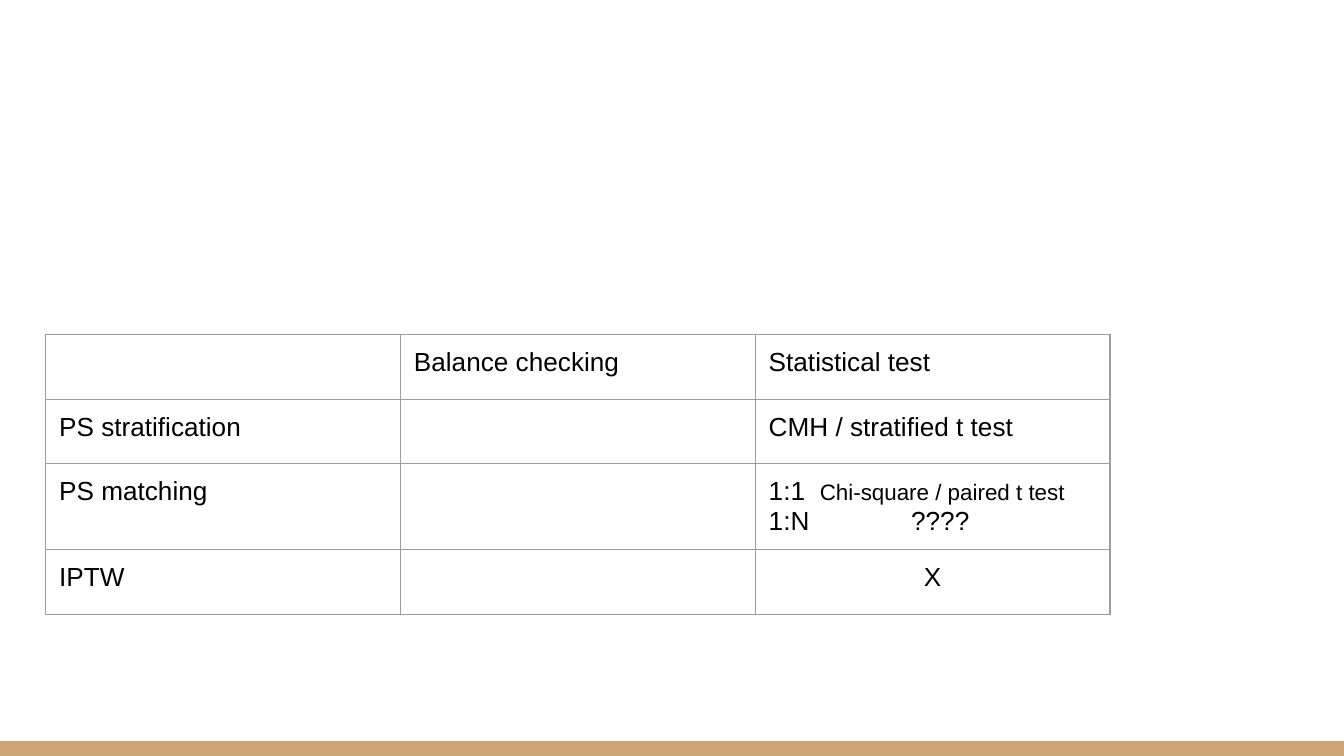
from lxml.etree import SubElement
from pptx import Presentation
from pptx.dml.color import RGBColor
from pptx.enum.shapes import MSO_SHAPE
from pptx.enum.text import PP_ALIGN
from pptx.oxml.ns import qn
from pptx.util import Inches, Pt

COLORS = {"background": "FFFFFF", "footer": "CCA677", "border": "9E9E9E", "text": "000000"}
FONT = "Arial"
ROWS = [
    ["", "Balance checking", "Statistical test"],
    ["PS stratification", "", "CMH / stratified t test"],
    ["PS matching", "", "1:1\t\n1:N\t????"],
    ["IPTW", "", "X"],
]
ROW_HEIGHTS = [0.48, 0.48, 0.64, 0.48]
COLUMN_WIDTH = 2.64


def add_borders(cell):
    properties = cell._tc.get_or_add_tcPr()
    for side in ("a:lnL", "a:lnR", "a:lnT", "a:lnB"):
        line = SubElement(properties, qn(side), w=str(Pt(0.75)))
        fill = SubElement(line, qn("a:solidFill"))
        SubElement(fill, qn("a:srgbClr"), val=COLORS["border"])


def add_tab_stop(paragraph, position):
    tab_list = SubElement(paragraph._p.get_or_add_pPr(), qn("a:tabLst"))
    SubElement(tab_list, qn("a:tab"), pos=str(Inches(position)), algn="l")


presentation = Presentation()
# 16:9 format
presentation.slide_width = Inches(10)
presentation.slide_height = Inches(10) * 9 // 16
slide = presentation.slides.add_slide(presentation.slide_layouts[6])
slide.background.fill.solid()
slide.background.fill.fore_color.rgb = RGBColor.from_string(COLORS["background"])

footer_height = Inches(0.11)
footer = slide.shapes.add_shape(
    MSO_SHAPE.RECTANGLE, 0, presentation.slide_height - footer_height,
    presentation.slide_width, footer_height,
)
footer.shadow.inherit = False
footer.fill.solid()
footer.fill.fore_color.rgb = RGBColor.from_string(COLORS["footer"])
footer.line.fill.background()

table = slide.shapes.add_table(
    len(ROWS), 3, Inches(0.34), Inches(2.49),
    Inches(3 * COLUMN_WIDTH), Inches(sum(ROW_HEIGHTS)),
).table
table.first_row = False
table.horz_banding = False
for column in table.columns:
    column.width = Inches(COLUMN_WIDTH)
for row, height in zip(table.rows, ROW_HEIGHTS):
    row.height = Inches(height)

for row, texts in zip(table.rows, ROWS):
    for cell, text in zip(row.cells, texts):
        cell.margin_left = cell.margin_right = Inches(0.1)
        cell.margin_top = cell.margin_bottom = Inches(0.1)
        add_borders(cell)
        cell.fill.background()
        cell.text_frame.text = text
        if not text:
            empty_paragraph = cell.text_frame.paragraphs[0]._p
            SubElement(empty_paragraph, qn("a:endParaRPr"), sz="1400")

matching_paragraphs = table.cell(2, 2).text_frame.paragraphs
for paragraph, position in zip(matching_paragraphs, (0.38, 1.06)):
    add_tab_stop(paragraph, position)
test_run = matching_paragraphs[0].add_run()
test_run.text = "Chi-square / paired t test"
table.cell(3, 2).text_frame.paragraphs[0].alignment = PP_ALIGN.CENTER

for cell in table.iter_cells():
    for paragraph in cell.text_frame.paragraphs:
        for run in paragraph.runs:
            run.font.name = FONT
            run.font.size = Pt(14)
            run.font.color.rgb = RGBColor.from_string(COLORS["text"])
test_run.font.size = Pt(12)

presentation.save("out.pptx")
